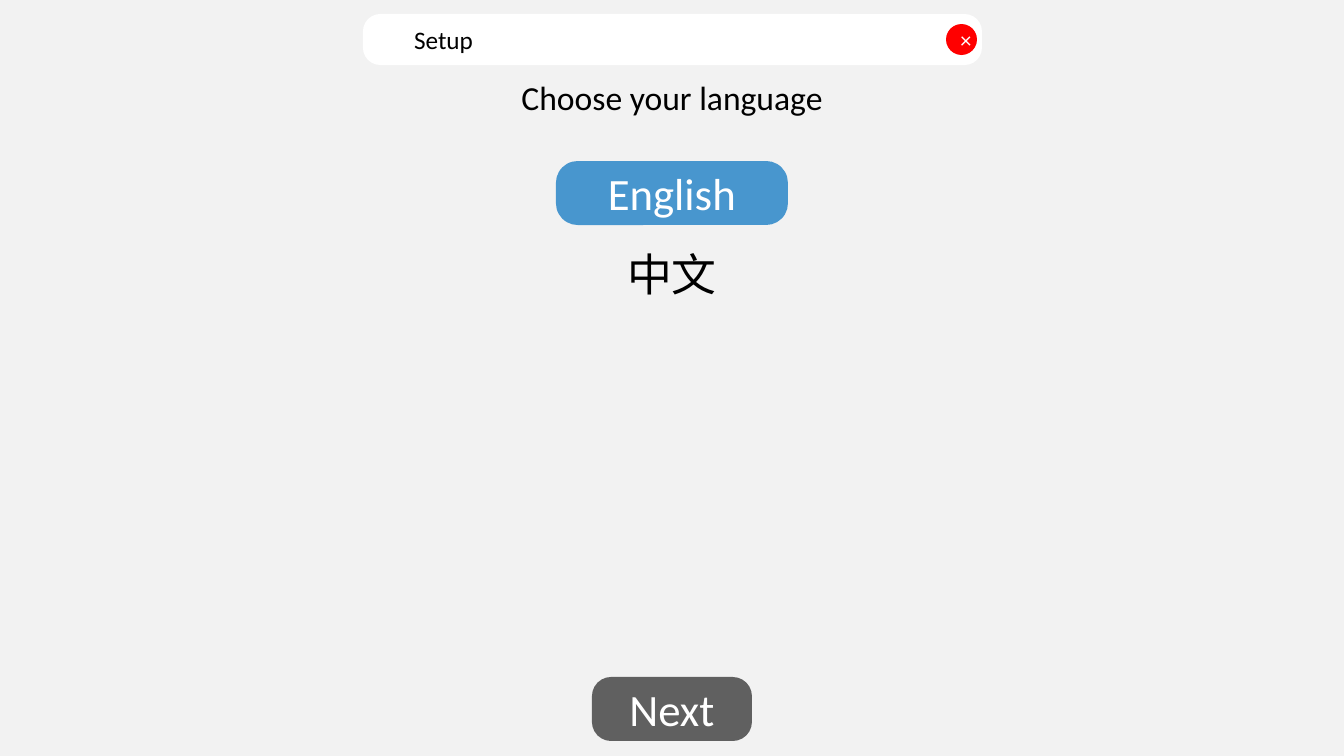
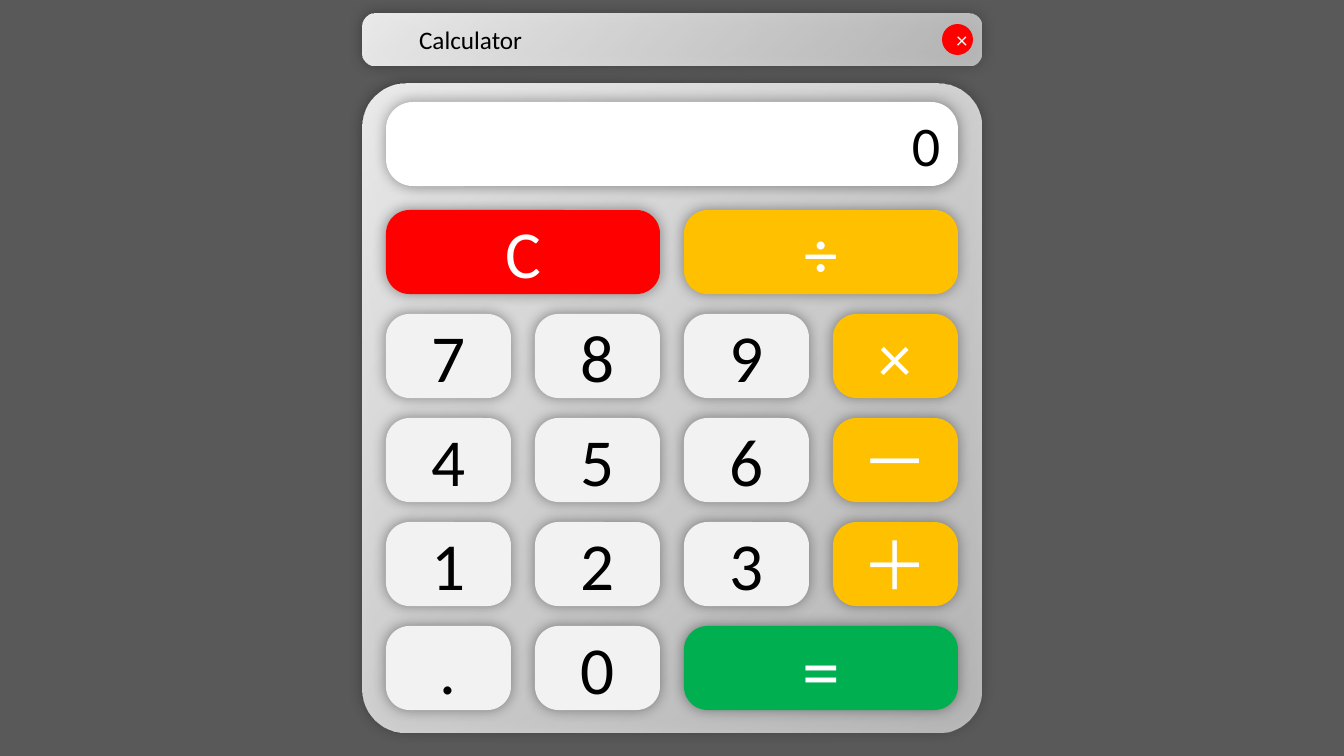
from dataclasses import dataclass

import pptx
import pptx.dml.color
import pptx.enum.shapes
import pptx.enum.text
import pptx.oxml.ns
import pptx.util
from lxml import etree

SHAPE = pptx.enum.shapes.MSO_SHAPE
ALIGN = pptx.enum.text.PP_ALIGN
ANCHOR = pptx.enum.text.MSO_ANCHOR
qn = pptx.oxml.ns.qn


@dataclass(frozen=True)
class Theme:
    font: str = "Calibri"
    black: str = "000000"
    white: str = "FFFFFF"
    light: str = "F2F2F2"
    dark: str = "595959"
    blue: str = "0070C0"
    red: str = "FF0000"
    amber: str = "FFC000"
    green: str = "00B050"
    close_size: int = 16
    title_size: int = 18
    prompt_size: int = 24
    button_size: int = 32
    display_size: int = 40
    key_size: int = 48
    equals_size: int = 54


THEME = Theme()
SLIDE_W, SLIDE_H = 1344, 756
EMU_PER_PX = 12192000 / SLIDE_W

WINDOW_X, WINDOW_W = 363, 619
GRID_X, GRID_Y = 386, 210
KEY_W, KEY_H = 125, 84
STEP_X, STEP_Y = 149, 104
GLASS = "glass"  # translucent white gradient instead of a solid colour


def px(n):
    return pptx.util.Emu(round(n * EMU_PER_PX))


def rgb(color):
    return pptx.dml.color.RGBColor.from_string(color)


def add_alpha(color_element, percent):
    etree.SubElement(color_element, qn("a:alpha"), val=str(percent * 1000))


def fill_glass(sp):
    sp.fill.gradient()
    sp.fill.gradient_angle = 315
    for stop in sp.fill.gradient_stops:
        stop.color.rgb = rgb(THEME.white)
    for color, percent in zip(sp._element.spPr.iter(qn("a:srgbClr")), (90, 60)):
        add_alpha(color, percent)


def fill_solid(sp, color, alpha):
    sp.fill.solid()
    sp.fill.fore_color.rgb = rgb(color)
    if alpha < 100:
        add_alpha(sp._element.spPr.find(".//" + qn("a:srgbClr")), alpha)


def add_glow(sp):
    """Give the shape a soft shadow on all sides."""
    effects = sp._element.spPr.find(qn("a:effectLst"))
    shadow = etree.SubElement(
        effects, qn("a:outerShdw"), blurRad=str(pptx.util.Pt(10)),
        dist="0", dir="0", algn="ctr", rotWithShape="0")
    add_alpha(etree.SubElement(shadow, qn("a:srgbClr"), val=THEME.black), 40)


def write(sp, text, size, color, align=ALIGN.CENTER, anchor=ANCHOR.MIDDLE):
    tf = sp.text_frame
    tf.word_wrap = True
    tf.vertical_anchor = anchor
    tf.text = text
    p = tf.paragraphs[0]
    p.alignment = align
    font = p.runs[0].font
    font.name, font.size = THEME.font, pptx.util.Pt(size)
    font.color.rgb = rgb(color)


def add_box(slide, box, fill, radius=None, alpha=100, glow=False):
    """Add a rounded rectangle, or an ellipse when no radius is given."""
    kind = SHAPE.OVAL if radius is None else SHAPE.ROUNDED_RECTANGLE
    sp = slide.shapes.add_shape(kind, *map(px, box))
    if radius is not None:
        sp.adjustments[0] = radius
    if fill == GLASS:
        fill_glass(sp)
    else:
        fill_solid(sp, fill, alpha)
    sp.line.fill.background()
    sp.shadow.inherit = False
    if glow:
        add_glow(sp)
    return sp


def add_window(prs, title, background, bar_fill, radius, title_x, close_x):
    """Start a slide with its title bar and close button."""
    slide = prs.slides.add_slide(prs.slide_layouts[5])
    slide.background.fill.solid()
    slide.background.fill.fore_color.rgb = rgb(background)
    add_box(slide, (WINDOW_X, 14, WINDOW_W, 51), bar_fill, radius,
            glow=bar_fill == GLASS)
    close = add_box(slide, (close_x, 24, 31, 31), THEME.red)
    write(close, "×", THEME.close_size, THEME.white)
    sp = slide.shapes.title
    sp.left, sp.top, sp.width, sp.height = map(px, (title_x, 19, 180, 40))
    write(sp, title, THEME.title_size, THEME.black, ALIGN.LEFT, ANCHOR.TOP)
    close._element.addnext(sp._element)  # bring the title in front of the bar
    return slide


def add_button(slide, text, top, width, fill, color, alpha, radius):
    box = ((SLIDE_W - width) // 2, top, width, 64)
    sp = add_box(slide, box, fill, radius, alpha)
    write(sp, text, THEME.button_size, color)


def add_key(slide, text, row, col, fill, color, span=1, size=THEME.key_size):
    box = (GRID_X + col * STEP_X, GRID_Y + row * STEP_Y,
           KEY_W + (span - 1) * STEP_X, KEY_H)
    write(add_box(slide, box, fill, 0.28, glow=True), text, size, color)


def build_setup(prs):
    slide = add_window(prs, "Setup", THEME.light, THEME.white, 0.34, 404, 946)
    prompt = slide.shapes.add_textbox(*map(px, (310, 72, 724, 50)))
    write(prompt, "Choose your language", THEME.prompt_size, THEME.black,
          anchor=ANCHOR.TOP)
    for text, top, width, fill, color, alpha, radius in (
            ("English", 161, 232, THEME.blue, THEME.white, 70, 0.34),
            ("中文", 242, 232, THEME.light, THEME.black, 70, 0.34),
            ("Next", 677, 160, THEME.black, THEME.white, 60, 0.3)):
        add_button(slide, text, top, width, fill, color, alpha, radius)


def build_calculator(prs):
    slide = add_window(prs, "Calculator", THEME.dark, GLASS, 0.24, 409, 942)
    add_box(slide, (WINDOW_X, 84, WINDOW_W, 648), GLASS, 0.07, glow=True)
    display = add_box(slide, (GRID_X, 102, 572, KEY_H), THEME.white, 0.32,
                      glow=True)
    write(display, "0", THEME.display_size, THEME.black, ALIGN.RIGHT)

    add_key(slide, "C", 0, 0, THEME.red, THEME.white, span=2)
    add_key(slide, "÷", 0, 2, THEME.amber, THEME.white, span=2)
    for row, keys in enumerate(("789×", "456－", "123＋", ".0"), start=1):
        for col, key in enumerate(keys):
            if col < 3:
                add_key(slide, key, row, col, THEME.light, THEME.black)
            else:
                add_key(slide, key, row, col, THEME.amber, THEME.white)
    add_key(slide, "=", 4, 2, THEME.green, THEME.white, span=2,
            size=THEME.equals_size)


def main():
    prs = pptx.Presentation()
    prs.slide_width, prs.slide_height = px(SLIDE_W), px(SLIDE_H)
    build_setup(prs)
    build_calculator(prs)
    prs.save("out.pptx")


if __name__ == "__main__":
    main()
